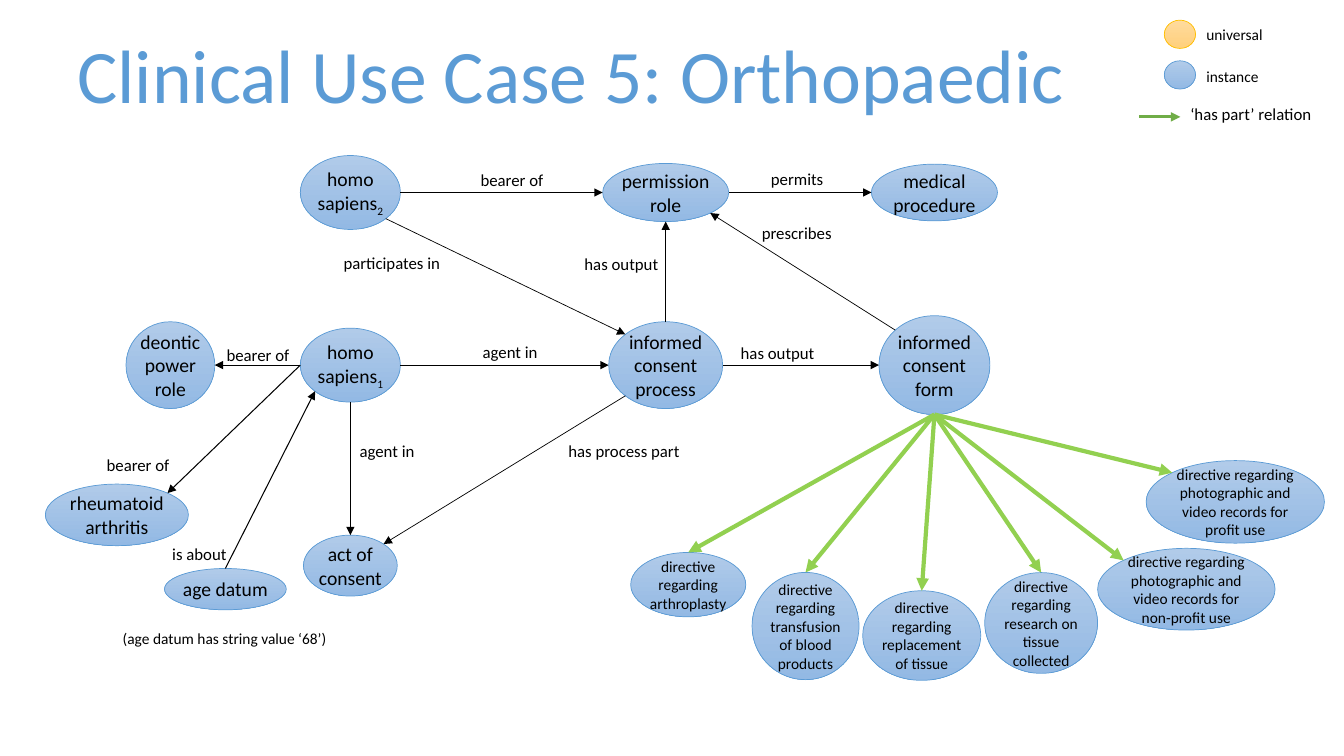
from dataclasses import dataclass
from math import cos, pi, sin

from lxml.etree import SubElement
from pptx import Presentation
from pptx.dml.color import RGBColor
from pptx.enum.shapes import MSO_CONNECTOR as CONNECTOR, MSO_SHAPE as SHAPE
from pptx.enum.text import MSO_ANCHOR as ANCHOR, MSO_AUTO_SIZE as AUTO_SIZE, PP_ALIGN as ALIGN
from pptx.oxml.ns import qn
from pptx.util import Pt


@dataclass(frozen=True)
class Theme:
    """Colours, type sizes and line widths of the slide."""
    font: str = "Calibri"
    text: str = "000000"
    title: str = "5B9BD5"
    instance: tuple = ("B1CBE9", "93B9E4", "5B9BD5")  # gradient start, end, outline
    universal: tuple = ("FFDB9E", "FFD07C", "FFC000")
    has_part: str = "92D050"
    legend_has_part: str = "70AD47"
    title_size: float = 54
    node_size: float = 14
    label_size: float = 12
    small_size: float = 11
    thin: float = 0.5
    medium: float = 0.75
    legend_line: float = 2.25
    thick: float = 3


THEME = Theme()

# Connection sites of an ellipse, counted counter-clockwise from the top
TOP, TOP_LEFT, LEFT, BOTTOM_LEFT, BOTTOM, BOTTOM_RIGHT, RIGHT, TOP_RIGHT = range(8)

# Shared centre lines of the diagram
PERSON_X, PROCESS_X, FORM_X = 250.3, 475.5, 667.5
UPPER_Y, MIDDLE_Y = 137.5, 260.8

# name: (text, subscript, centre x, centre y, width, height)
NODES = {
    "person 2": ("homo sapiens", "2", PERSON_X, UPPER_Y, 71.5, 52.8),
    "permission": ("permission role", "", PROCESS_X, UPPER_Y, 90, 41.5),
    "procedure": ("medical procedure", "", FORM_X, UPPER_Y, 90, 40.5),
    "deontic role": ("deontic\vpower role", "", 121.7, MIDDLE_Y, 63.4, 62),
    "person 1": ("homo sapiens", "1", PERSON_X, MIDDLE_Y, 71.5, 52.8),
    "process": ("informed consent process", "", PROCESS_X, MIDDLE_Y, 81.4, 62),
    "form": ("informed consent form", "", FORM_X, MIDDLE_Y, 79.2, 70.6),
    "arthritis": ("rheumatoid arthritis", "", 83.5, 367.8, 102.2, 44),
    "age": ("age datum", "", 161, 420.8, 87, 29.5),
    "act": ("act of consent", "", PERSON_X, 404, 67, 43.5),
}

# (topic after "directive regarding", site, centre x, centre y, width, height)
DIRECTIVES = [
    ("arthroplasty", TOP, 491.6, 417.6, 82.2, 46),
    ("transfusion of blood products", TOP, 575.4, 447.2, 76.4, 76.6),
    ("replacement of tissue", TOP, 658.4, 454, 84.4, 64),
    ("research on tissue collected", TOP, 743.7, 445, 80.6, 72),
    ("photographic and video records for non-profit use", TOP_LEFT, 847.4, 420.9, 126.8, 58.4),
    ("photographic and video records for profit use", TOP_LEFT, 882.4, 358.5, 127.4, 59),
]

# (from node, site, to node, site, width)
RELATIONS = [
    ("person 2", RIGHT, "permission", LEFT, THEME.thin),
    ("permission", RIGHT, "procedure", LEFT, THEME.thin),
    ("person 2", BOTTOM_RIGHT, "process", TOP_LEFT, THEME.thin),
    ("process", TOP, "permission", BOTTOM, THEME.thin),
    ("form", TOP_LEFT, "permission", BOTTOM_RIGHT, THEME.thin),
    ("person 1", LEFT, "deontic role", RIGHT, THEME.thin),
    ("person 1", RIGHT, "process", LEFT, THEME.thin),
    ("process", RIGHT, "form", LEFT, THEME.thin),
    ("person 1", BOTTOM, "act", TOP, THEME.thin),
    ("process", BOTTOM_LEFT, "act", TOP_RIGHT, THEME.thin),
    ("age", TOP, "person 1", BOTTOM_LEFT, THEME.medium),
    ("person 1", LEFT, "arthritis", TOP_RIGHT, THEME.medium),
]

# (text, left, top, width)
RELATION_LABELS = [
    ("bearer of", 336.2, 117.6, 59.8),
    ("permits", 543.6, 117.2, 52.6),
    ("prescribes", 537.1, 155.8, 64.8),
    ("participates in", 238.3, 177.3, 84.2),
    ("has output", 410.4, 178, 67.7),
    ("bearer of", 154.8, 242.8, 59.8),
    ("agent in", 337.7, 240.7, 54),
    ("has output", 522, 241.3, 67.7),
    ("agent in", 249.8, 311.3, 54),
    ("has process part", 398.9, 311.3, 95),
    ("bearer of", 69.1, 321.3, 59.8),
    ("is about", 115.9, 384.5, 54),
]


def color(value):
    """Turn a hex string into a colour."""
    return RGBColor.from_string(value)


def style_runs(paragraph, size, value=THEME.text):
    """Give every run of a paragraph the theme font, a size and a colour."""
    for run in paragraph.runs:
        run.font.name = THEME.font
        run.font.size = Pt(size)
        run.font.color.rgb = color(value)


def add_label(slide, text, left, top, width, height, size, value=THEME.text, wrap=False):
    """Add a left-aligned text box."""
    text_frame = slide.shapes.add_textbox(Pt(left), Pt(top), Pt(width), Pt(height)).text_frame
    text_frame.text = text
    text_frame.word_wrap = wrap
    text_frame.auto_size = AUTO_SIZE.SHAPE_TO_FIT_TEXT
    style_runs(text_frame.paragraphs[0], size, value)


def add_ellipse(slide, center_x, center_y, width, height, palette=THEME.instance):
    """Add an ellipse around a centre, with a vertical gradient."""
    shape = slide.shapes.add_shape(SHAPE.OVAL, Pt(center_x - width / 2), Pt(center_y - height / 2),
                                   Pt(width), Pt(height))
    shape.shadow.inherit = False
    shape.fill.gradient()
    shape.fill.gradient_angle = 270
    for stop, value in zip(shape.fill.gradient_stops, palette):
        stop.color.rgb = color(value)
    shape.line.color.rgb = color(palette[-1])
    shape.line.width = Pt(THEME.thin)
    return shape


def add_node(slide, text, subscript, center_x, center_y, width, height, size=THEME.node_size):
    """Add an instance ellipse with centred text and an optional subscript."""
    shape = add_ellipse(slide, center_x, center_y, width, height)
    text_frame = shape.text_frame
    text_frame.text = text
    text_frame.word_wrap = True
    text_frame.vertical_anchor = ANCHOR.MIDDLE
    text_frame.margin_left = text_frame.margin_right = 0
    text_frame.margin_top = text_frame.margin_bottom = 0
    paragraph = text_frame.paragraphs[0]
    paragraph.alignment = ALIGN.CENTER
    if subscript:
        run = paragraph.add_run()
        run.text = subscript
        run.font._element.set("baseline", "-25000")
    style_runs(paragraph, size)
    return shape


def add_arrow(slide, begin, end, value, width):
    """Add a straight arrow between two points."""
    connector = slide.shapes.add_connector(CONNECTOR.STRAIGHT, *begin, *end)
    connector.line.color.rgb = color(value)
    connector.line.width = Pt(width)
    SubElement(connector.get_or_add_ln(), qn("a:tailEnd"), type="triangle")
    SubElement(connector._element.spPr, qn("a:effectLst"))
    return connector


def site_point(shape, site):
    """Find a connection site on the outline of an ellipse."""
    angle = site * pi / 4
    return (round(shape.left + shape.width / 2 * (1 - sin(angle))),
            round(shape.top + shape.height / 2 * (1 - cos(angle))))


def link(slide, source, source_site, target, target_site, value, width):
    """Join two ellipses with an arrow glued to their connection sites."""
    connector = add_arrow(slide, site_point(source, source_site), site_point(target, target_site),
                          value, width)
    properties = connector._element.nvCxnSpPr.cNvCxnSpPr
    for tag, shape, site in (("a:stCxn", source, source_site), ("a:endCxn", target, target_site)):
        SubElement(properties, qn(tag), id=str(shape.shape_id), idx=str(site))


def add_legend(slide):
    """Add the key to node colours and the part relation."""
    add_ellipse(slide, 842.8, 24.5, 22.3, 20.2, THEME.universal)
    add_label(slide, "universal", 854.6, 14.4, 55.4, 20.6, THEME.small_size)
    add_ellipse(slide, 842.8, 53.5, 22.3, 20.2)
    add_label(slide, "instance", 854.6, 44.6, 51.8, 20.6, THEME.small_size)
    add_arrow(slide, (Pt(813.6), Pt(83.5)), (Pt(843.1), Pt(83.5)),
              THEME.legend_has_part, THEME.legend_line)
    add_label(slide, "‘has part’ relation", 843.1, 70.6, 102.2, 21.8, THEME.label_size, wrap=True)


def main():
    """Build the slide and save it."""
    presentation = Presentation()
    presentation.slide_width, presentation.slide_height = Pt(960), Pt(540)
    slide = presentation.slides.add_slide(presentation.slide_layouts[6])
    add_label(slide, "Clinical Use Case 5: Orthopaedic", 48.2, 16.6, 750.2, 72.7,
              THEME.title_size, THEME.title, wrap=True)
    add_legend(slide)
    nodes = {name: add_node(slide, *node) for name, node in NODES.items()}
    for topic, site, *box in DIRECTIVES:
        directive = add_node(slide, f"directive regarding {topic}", "", *box, THEME.small_size)
        link(slide, nodes["form"], BOTTOM, directive, site, THEME.has_part, THEME.thick)
    for source, source_site, target, target_site, width in RELATIONS:
        link(slide, nodes[source], source_site, nodes[target], target_site, THEME.text, width)
    for text, left, top, width in RELATION_LABELS:
        add_label(slide, text, left, top, width, 21.8, THEME.label_size)
    add_label(slide, "(age datum has string value ‘68’)", 80.6, 445.7, 161.3, 20.6,
              THEME.small_size)
    presentation.save("out.pptx")


main()
